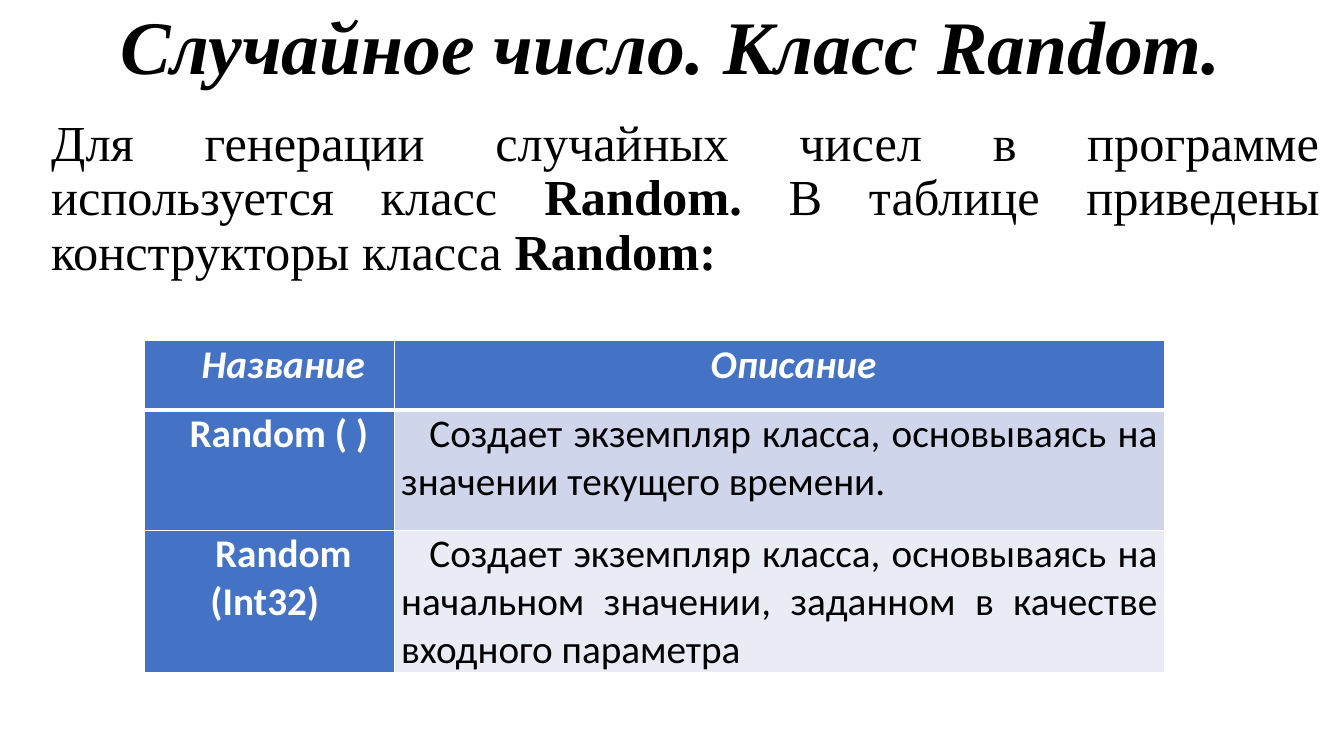
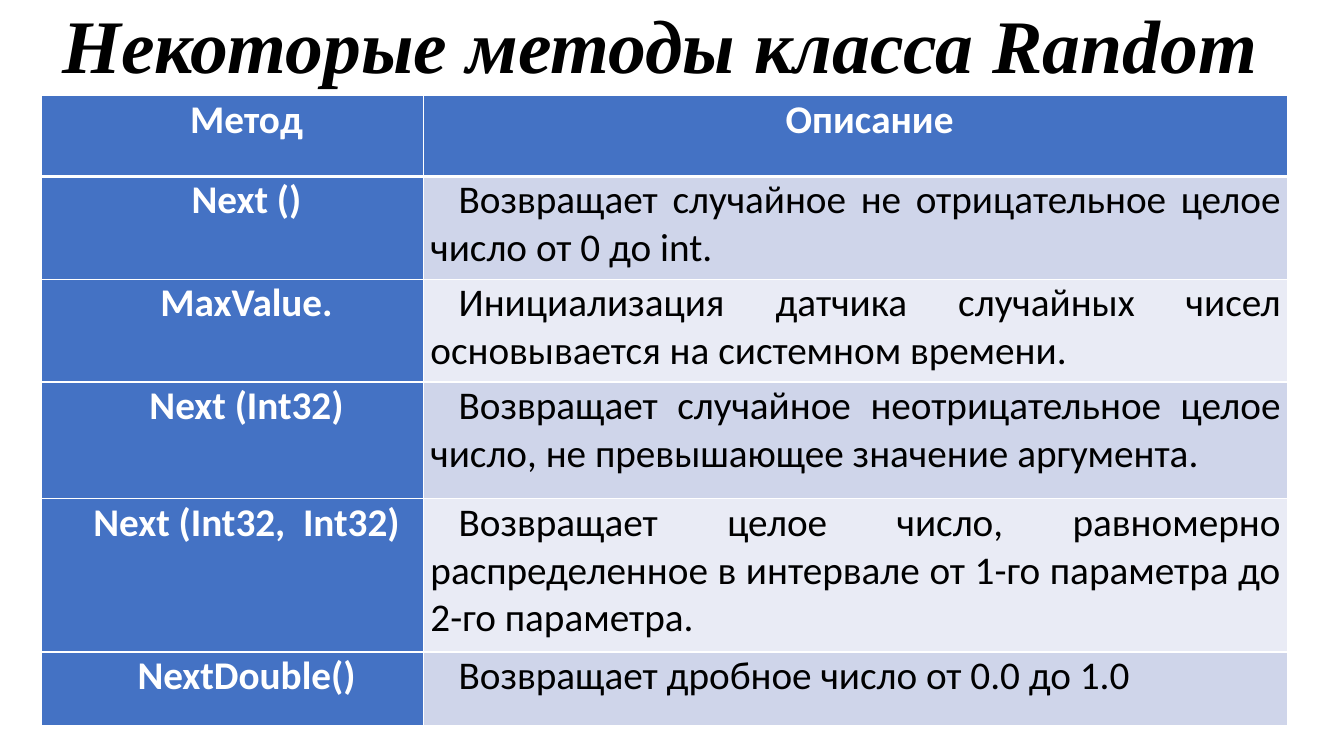
from lxml.etree import SubElement
from pptx import Presentation
from pptx.dml.color import RGBColor
from pptx.enum.text import MSO_ANCHOR, PP_ALIGN
from pptx.oxml.ns import qn
from pptx.util import Inches, Pt

SERIF, SANS = "Times New Roman", "Calibri"
BLACK, WHITE, BLUE = "000000", "FFFFFF", "4472C4"
BANDS = ("CFD5EA", "E9EBF5")
FIRST_LINE = 0.28


def color(value):
    return RGBColor.from_string(value)


def write(frame, spans, size, font, ink=BLACK, bold=False, italic=False,
          align=PP_ALIGN.CENTER, margin=0, indent=0, spacing=1.0):
    """Fill a frame with one paragraph; spans are a string or (text, bold) pairs."""
    frame.word_wrap = True
    para = frame.paragraphs[0]
    para.alignment = align
    para.line_spacing = spacing
    properties = para._p.get_or_add_pPr()
    properties.set("marL", str(Inches(margin)))
    properties.set("indent", str(Inches(indent)))
    if isinstance(spans, str):
        spans = [(spans, bold)]
    for text, strong in spans:
        span = para.add_run()
        span.text = text
        span.font.name = font
        span.font.size = Pt(size)
        span.font.bold = strong
        span.font.italic = italic
        span.font.color.rgb = color(ink)


def add_box(page, area, spans, anchor=MSO_ANCHOR.TOP, **text_format):
    box = page.shapes.add_textbox(*map(Inches, area))
    box.text_frame.vertical_anchor = anchor
    write(box.text_frame, spans, font=SERIF, spacing=0.9, **text_format)


def add_title(page, area, text, indent=0):
    add_box(page, area, text, anchor=MSO_ANCHOR.MIDDLE, size=54,
            bold=True, italic=True, indent=indent)


def add_border(cell, side, width):
    line = SubElement(cell._tc.get_or_add_tcPr(), qn(f"a:ln{side}"), w=str(Pt(width)))
    fill = SubElement(line, qn("a:solidFill"))
    SubElement(fill, qn("a:srgbClr"), val=WHITE)


def style_cell(cell, row, column, text, italic_header):
    header = row == 0
    label = header or column == 0
    # Borders come before the fill in the cell properties
    for side, thick in (("L", False), ("R", False), ("T", row == 1), ("B", header)):
        add_border(cell, side, 3 if thick else 1)
    cell.fill.solid()
    cell.fill.fore_color.rgb = color(BLUE if label else BANDS[(row - 1) % 2])
    cell.margin_left = cell.margin_right = Inches(0.07)
    cell.margin_top = cell.margin_bottom = 0
    write(cell.text_frame, text, size=28, font=SANS,
          ink=WHITE if label else BLACK, bold=label,
          italic=header and italic_header, indent=FIRST_LINE,
          align=PP_ALIGN.CENTER if label else PP_ALIGN.JUSTIFY)


def add_reference_table(page, left, top, widths, heights, rows, italic_header=False):
    area = (left, top, sum(widths), sum(heights))
    table = page.shapes.add_table(len(rows), len(widths), *map(Inches, area)).table
    for column, width in zip(table.columns, widths):
        column.width = Inches(width)
    for line, height in zip(table.rows, heights):
        line.height = Inches(height)
    for row, texts in enumerate(rows):
        for column, text in enumerate(texts):
            style_cell(table.cell(row, column), row, column, text, italic_header)


def add_constructors_slide(page):
    add_title(page, (0, 0, 13.03, 1), "Случайное число. Класс Random.", indent=FIRST_LINE)
    # Introduction
    add_box(page, (0.16, 1.12, 13.03, 6.26), [
        ("Для генерации случайных чисел в программе используется класс ", False),
        ("Random.", True),
        (" В таблице приведены конструкторы класса ", False),
        ("Random:", True),
    ], size=36, align=PP_ALIGN.JUSTIFY, margin=0.25)
    # Constructors
    add_reference_table(page, 1.43, 3.38, (2.48, 7.64), (0.69, 1.19, 1.41), [
        ("Название", "Описание"),
        ("Random ( ) ",
         "Создает экземпляр класса, основываясь на значении текущего времени."),
        ("Random (Int32) ",
         "Создает экземпляр класса, основываясь на начальном значении, "
         "заданном в качестве входного параметра"),
    ], italic_header=True)


def add_methods_slide(page):
    add_title(page, (0, 0.02, 13.09, 0.93), "Некоторые методы класса Random")
    # Methods
    add_reference_table(page, 0.41, 0.95, (3.79, 8.57), (0.8, 1.02, 1.02, 1.16, 1.52, 0.73), [
        ("Метод", "Описание"),
        ("Next ()", "Возвращает случайное не отрицательное целое число от 0 до int."),
        ("MaxValue.",
         "Инициализация датчика случайных чисел основывается на системном времени."),
        ("Next (Int32)",
         "Возвращает случайное неотрицательное целое число, "
         "не превышающее значение аргумента."),
        ("Next (Int32,  Int32)",
         "Возвращает целое число, равномерно распределенное в интервале "
         "от 1-го параметра до 2-го параметра."),
        ("NextDouble()", "Возвращает дробное число от 0.0 до 1.0"),
    ])


def main():
    deck = Presentation()
    deck.slide_width, deck.slide_height = Inches(13.33), Inches(7.5)
    for build in (add_constructors_slide, add_methods_slide):
        build(deck.slides.add_slide(deck.slide_layouts[6]))
    deck.save("out.pptx")


if __name__ == "__main__":
    main()
